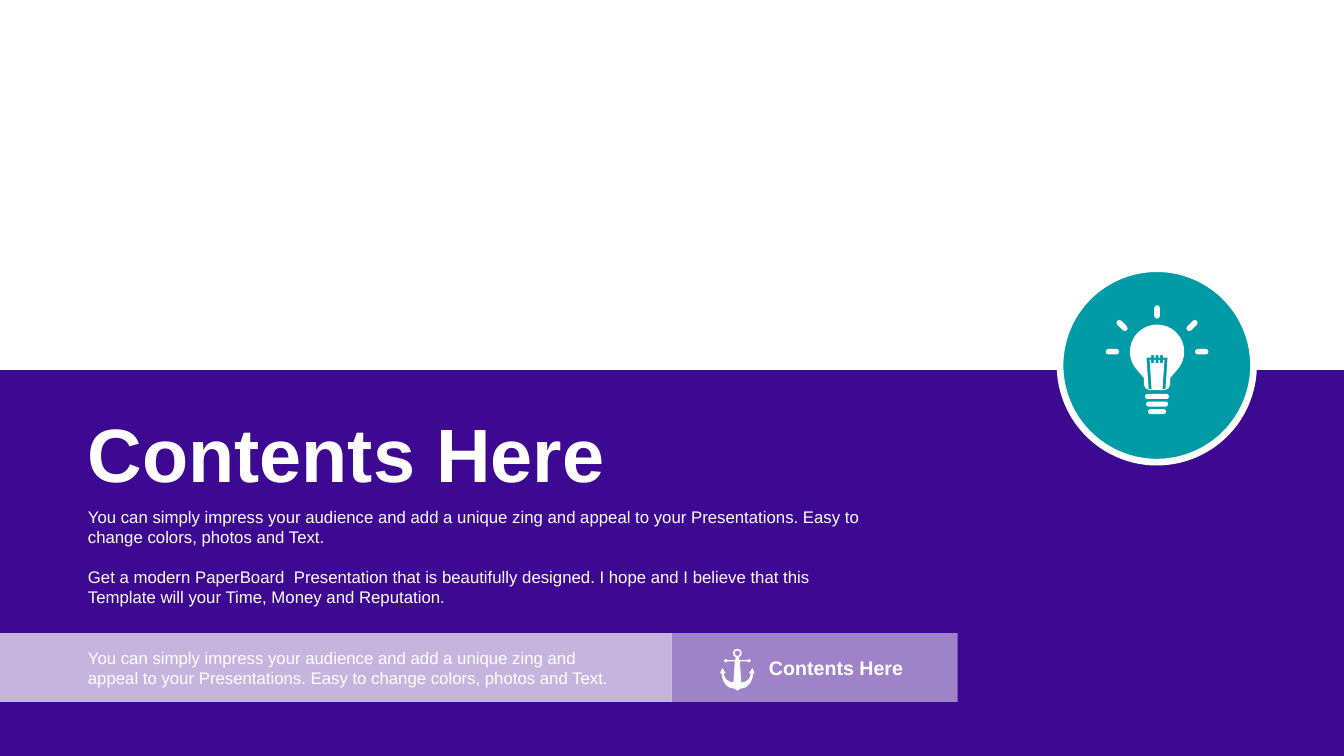
from math import ceil, cos, radians, sin, tan
from lxml import etree
from pptx import Presentation
from pptx.dml.color import RGBColor
from pptx.enum import shapes, text
from pptx.oxml.ns import qn
from pptx.util import Pt

WHITE, PURPLE, TEAL = "FFFFFF", "3D0892", "019BA7"
RECT, OVAL = shapes.MSO_SHAPE.RECTANGLE, shapes.MSO_SHAPE.OVAL
SLIDE_W, SLIDE_H = 960, 540

IMPRESS = ("You can simply impress your audience and add a unique zing and appeal to "
           "your Presentations. Easy to change colors, photos and Text.")
MODERN = ("Get a modern PaperBoard  Presentation that is beautifully designed. I hope and "
          "I believe that this Template will your Time, Money and Reputation.")

BAND_TOP = 264.4
STRIP_TOP, STRIP_H = 452.3, 49.1
# kind, left, top, width, height, fill, opacity in percent, outline width
PANELS = [
    (RECT, 0, BAND_TOP, SLIDE_W, SLIDE_H - BAND_TOP, PURPLE, 100, 0),
    (OVAL, 757.2, 191.9, 138.2, 138.2, TEAL, 100, 4.75),
    (RECT, 480, STRIP_TOP, 204, STRIP_H, WHITE, 50, 0),
    (RECT, 0, STRIP_TOP, 480, STRIP_H, WHITE, 70, 0),
]

BODY = {"size": Pt(12), "bold": False}
TITLE = {"size": Pt(54), "bold": True}
LABEL = {"size": Pt(14), "bold": True}
BODY_LINE, BODY_GAP = 14.4, 14
TEXT_LEFT = 55.7
# left, top, width, height, font, paragraphs
TEXTS = [
    (TEXT_LEFT, 358.6, 579.6, 79.9, BODY, [IMPRESS, MODERN]),
    (TEXT_LEFT, 287.3, 468, 72.7, TITLE, ["Contents Here"]),
    (TEXT_LEFT, 458.8, 402.5, 36, BODY, [IMPRESS]),
    (542.2, 465.1, 141.8, 24.5, LABEL, ["Contents Here"]),
]

BULB_CENTRE = (826.5, 251.2)
ANCHOR_RING = (526.7, 466.6)
# offset x, offset y, length, thickness, angle
RAYS = [(0, -28.4, 9.6, 4, 90), (-31.9, 0, 9.6, 4, 0), (31.9, 0, 9.6, 4, 0),
        (-25, -18.7, 9.6, 4, 45), (25, -18.7, 9.6, 4, -45)]
SOCKET_LENGTHS = [17.3, 15.8, 13]
COILS = [-3.2, 0, 3.2]


def rgb(value):
    return RGBColor.from_string(value)


def arc(cx, cy, rx, ry, start, end):
    """Bezier points (x, y, is_control) along an ellipse, at most 90 degrees a piece."""
    count = ceil(abs(end - start) / 90)
    step = radians((end - start) / count)
    k = 4 / 3 * tan(step / 4)
    points = []
    for i in range(count + 1):
        a = radians(start) + i * step
        c, s = cos(a), sin(a)
        if i:
            points.append((cx + rx * (c + k * s), cy + ry * (s - k * c), True))
        points.append((cx + rx * c, cy + ry * s, False))
        if i < count:
            points.append((cx + rx * (c - k * s), cy + ry * (s + k * c), True))
    return points


def corners(*points):
    return [(x, y, False) for x, y in points]


def capsule(cx, cy, length, thick, angle):
    half, r = (length - thick) / 2, thick / 2
    dx, dy = half * cos(radians(angle)), half * sin(radians(angle))
    return (arc(cx + dx, cy + dy, r, r, angle - 90, angle + 90)
            + arc(cx - dx, cy - dy, r, r, angle + 90, angle + 270))


def bulb_contours():
    glass = (arc(0, 0, 19.4, 19.4, 135, 405) + corners((9.4, 18.7))
             + arc(5.4, 23.4, 4, 4, 0, 90) + arc(-5.4, 23.4, 4, 4, 90, 180)
             + corners((-9.4, 18.7)))
    filament = corners((-6, 26.8), (-7.5, 4.3))
    for x in COILS:
        filament += corners((x - 1, 4.3), (x - 1, 2.4), (x + 1, 2.4), (x + 1, 4.3))
    filament += corners((7.5, 4.3), (6, 26.8), (3.9, 26.8), (5.3, 5.8))
    for x in reversed(COILS):
        filament += corners((x + 1, 5.8), (x + 1, 8.2), (x - 1, 8.2), (x - 1, 5.8))
    filament += corners((-5.3, 5.8), (-3.9, 26.8))
    socket = [capsule(0, 32 + 5.4 * i, length, 3.6, 0) for i, length in enumerate(SOCKET_LENGTHS)]
    return [glass, filament] + socket + [capsule(*ray) for ray in RAYS]


def anchor_contours():
    right = (arc(0, 0, 3.2, 3.2, -90, 70) + corners((1.6, 5))
             + arc(8.3, 5.4, 1.3, 1.3, -160, 160) + corners((1.8, 5.9))
             + arc(2.8, 14.4, 6.8, 6.5, 90, 0)
             + corners((8.3, 14.4), (10.7, 10.6), (12.4, 14.4))
             + arc(2, 14.4, 9.2, 11, 0, 90) + corners((0, 26.8)))
    left = [(-x, y, control) for x, y, control in reversed(right)]
    return [right + left, arc(0, 0, 2, 2, 0, 360)]


def paint(s, fill, opacity=100, outline=0):
    s.shadow.inherit = False
    s.fill.solid()
    s.fill.fore_color.rgb = rgb(fill)
    if opacity < 100:
        colour = s.fill._xPr.find(qn("a:solidFill"))[0]
        etree.SubElement(colour, qn("a:alpha"), val=str(opacity * 1000))
    if outline:
        s.line.color.rgb = rgb(WHITE)
        s.line.width = Pt(outline)
    else:
        s.line.fill.background()


def bend(s, contours):
    """Turn each pair of control vertices and the vertex after it into one curve."""
    steps = [e for e in s._element.iter(qn("a:moveTo"), qn("a:lnTo"))]
    flags = [control for c in contours for _, _, control in c]
    i = 0
    while i < len(steps):
        if flags[i]:
            curve = etree.Element(qn("a:cubicBezTo"))
            steps[i].addprevious(curve)
            for e in steps[i:i + 3]:
                curve.append(e[0])
                e.getparent().remove(e)
            i += 3
        else:
            i += 1


def add_icon(slide, origin, contours):
    placed = [[(Pt(origin[0] + x), Pt(origin[1] + y)) for x, y, _ in c] for c in contours]
    builder = slide.shapes.build_freeform(*placed[0][0])
    for i, points in enumerate(placed):
        if i:
            builder.move_to(*points[0])
        builder.add_line_segments(points[1:], close=True)
    s = builder.convert_to_shape()
    bend(s, contours)
    paint(s, WHITE)


def add_text(slide, box, font, paragraphs):
    tf = slide.shapes.add_textbox(*map(Pt, box)).text_frame
    tf.word_wrap = True
    tf.auto_size = text.MSO_AUTO_SIZE.SHAPE_TO_FIT_TEXT
    for i, line in enumerate(paragraphs):
        p = tf.add_paragraph() if i else tf.paragraphs[0]
        if font is BODY:
            p.line_spacing = Pt(BODY_LINE)
        if i:
            p.space_before = Pt(BODY_GAP)
        r = p.add_run()
        r.text = line
        for name, value in {"name": "Arial", **font}.items():
            setattr(r.font, name, value)
        r.font.color.rgb = rgb(WHITE)


def main():
    prs = Presentation()
    prs.slide_width, prs.slide_height = Pt(SLIDE_W), Pt(SLIDE_H)
    slide = prs.slides.add_slide(prs.slide_layouts[6])
    for kind, *box, fill, opacity, outline in PANELS:
        paint(slide.shapes.add_shape(kind, *map(Pt, box)), fill, opacity, outline)
    for *box, font, paragraphs in TEXTS:
        add_text(slide, box, font, paragraphs)
    add_icon(slide, BULB_CENTRE, bulb_contours())
    add_icon(slide, ANCHOR_RING, anchor_contours())
    prs.save("out.pptx")


if __name__ == "__main__":
    main()
